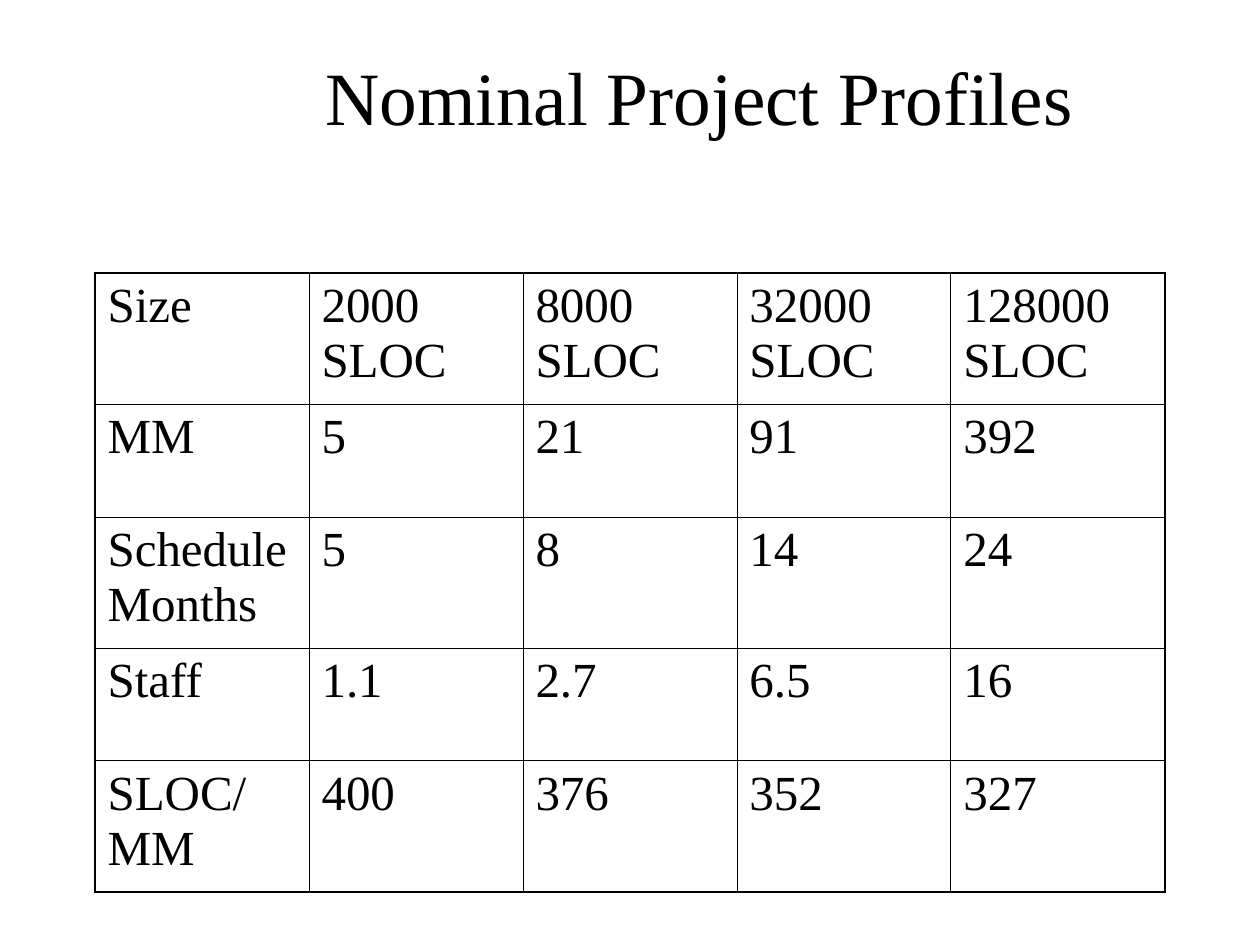
"""Build the Nominal Project Profiles slide: a title above a bordered table."""
import pptx
import pptx.dml.color
import pptx.enum.text
import pptx.oxml
import pptx.oxml.ns
import pptx.util

HEADING = "Nominal Project Profiles"
PROFILES = [
    ("Size", "2000 SLOC", "8000 SLOC", "32000 SLOC", "128000 SLOC"),
    ("MM", "5", "21", "91", "392"),
    ("Schedule Months", "5", "8", "14", "24"),
    ("Staff", "1.1", "2.7", "6.5", "16"),
    ("SLOC/ MM", "400", "376", "352", "327"),
]
COLORS = {"ink": "000000", "paper": "FFFFFF"}
FONT = "Times New Roman"
PX = 914400 // 126
TITLE_BOX = (179, 32, 1040, 126)
TABLE_LEFT, TABLE_TOP, COLUMN_WIDTH = 95, 273, 214
ROW_HEIGHTS = [131, 113, 131, 113, 131]
OUTER_LINE, INNER_LINE = 1.08, 0.45


def style_text(paragraph, size):
    paragraph.font.name = FONT
    paragraph.font.size = pptx.util.Pt(size)
    paragraph.font.color.rgb = pptx.dml.color.RGBColor.from_string(COLORS["ink"])


def add_borders(cell, outer_edges):
    properties = cell._tc.get_or_add_tcPr()
    for side, outer in zip("LRTB", outer_edges):
        width = pptx.util.Pt(OUTER_LINE if outer else INNER_LINE)
        properties.append(pptx.oxml.parse_xml(
            f'<a:ln{side} {pptx.oxml.ns.nsdecls("a")} w="{width}"><a:solidFill>'
            f'<a:srgbClr val="{COLORS["ink"]}"/></a:solidFill></a:ln{side}>'))


def add_heading(slide):
    heading = slide.shapes.title
    heading.left, heading.top, heading.width, heading.height = (
        length * PX for length in TITLE_BOX)
    frame = heading.text_frame
    frame.text = HEADING
    frame.word_wrap = True
    frame.auto_size = pptx.enum.text.MSO_AUTO_SIZE.NONE
    frame.vertical_anchor = pptx.enum.text.MSO_ANCHOR.MIDDLE
    frame.paragraphs[0].alignment = pptx.enum.text.PP_ALIGN.CENTER
    style_text(frame.paragraphs[0], 43)


def add_profiles(slide):
    row_count, column_count = len(PROFILES), len(PROFILES[0])
    table = slide.shapes.add_table(
        row_count, column_count, TABLE_LEFT * PX, TABLE_TOP * PX,
        column_count * COLUMN_WIDTH * PX, sum(ROW_HEIGHTS) * PX).table
    table.first_row = table.horz_banding = False
    for column in table.columns:
        column.width = COLUMN_WIDTH * PX
    for r, (values, height) in enumerate(zip(PROFILES, ROW_HEIGHTS)):
        table.rows[r].height = height * PX
        for c, value in enumerate(values):
            cell = table.cell(r, c)
            cell.text = value
            paragraph = cell.text_frame.paragraphs[0]
            paragraph.space_before = pptx.util.Pt(7)
            style_text(paragraph, 28)
            add_borders(cell, (c == 0, c == column_count - 1,
                               r == 0, r == row_count - 1))
            cell.fill.background()


def main():
    deck = pptx.Presentation()
    deck.slide_width, deck.slide_height = 1260 * PX, 945 * PX
    slide = deck.slides.add_slide(deck.slide_layouts[5])
    background = slide.background.fill
    background.solid()
    background.fore_color.rgb = pptx.dml.color.RGBColor.from_string(COLORS["paper"])
    add_heading(slide)
    add_profiles(slide)
    deck.save("out.pptx")


if __name__ == "__main__":
    main()
